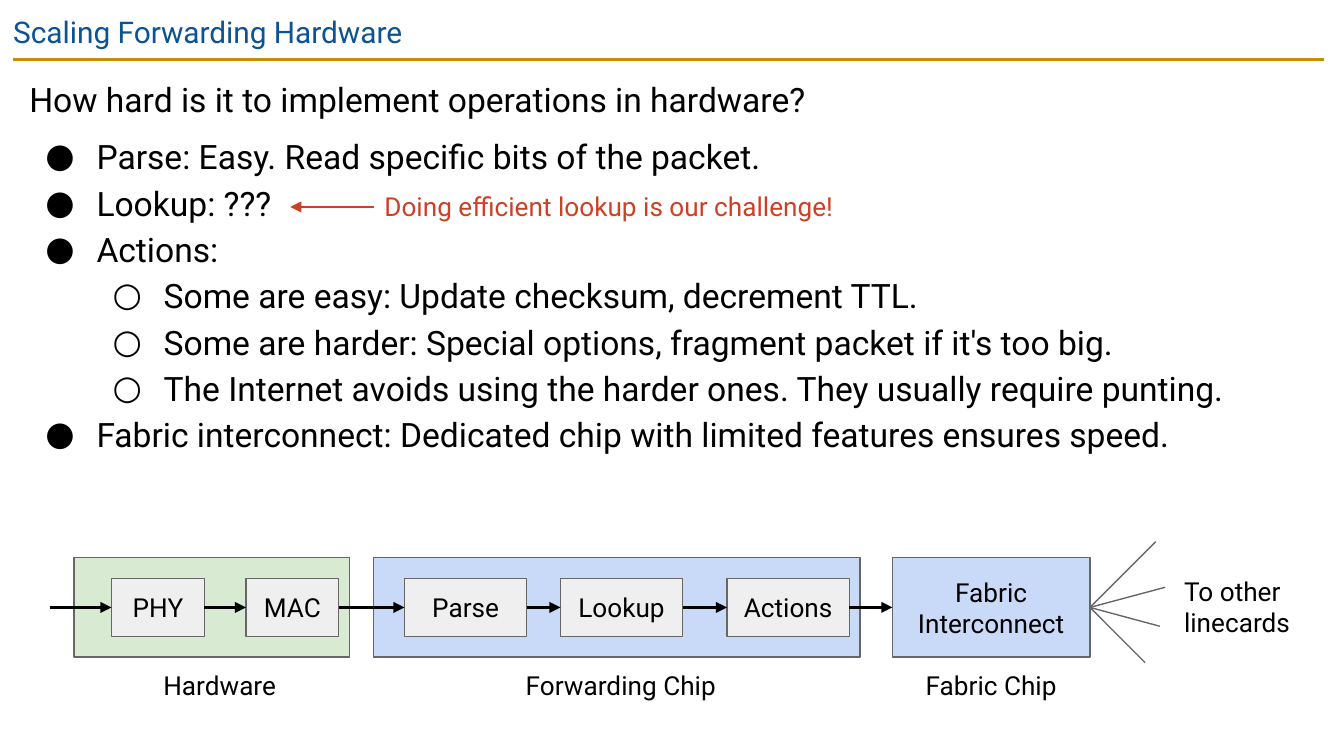
import pptx
import pptx.util
import pptx.dml.color
import pptx.enum.shapes
import pptx.enum.text
import pptx.oxml.ns

Inches, Pt = pptx.util.Inches, pptx.util.Pt
ALIGN = pptx.enum.text.PP_ALIGN
ANCHOR = pptx.enum.text.MSO_ANCHOR

COLORS = {
    "title": "0B5394", "rule": "BF9000", "text": "000000", "note": "CC4125",
    "outline": "666666", "green": "D9EAD3", "blue": "C9DAF8", "grey": "EFEFEF",
}
FONT = "Roboto"
BULLETS = ["●", "○"]
POINTS = [
    (0, "Parse: Easy. Read specific bits of the packet."),
    (0, "Lookup: ???"),
    (0, "Actions:"),
    (1, "Some are easy: Update checksum, decrement TTL."),
    (1, "Some are harder: Special options, fragment packet if it's too big."),
    (1, "The Internet avoids using the harder ones. They usually require punting."),
    (0, "Fabric interconnect: Dedicated chip with limited features ensures speed."),
]


def rgb(name):
    return pptx.dml.color.RGBColor.from_string(COLORS[name])


def add_xml(parent, tag, **attrs):
    el = parent.makeelement(pptx.oxml.ns.qn(tag), attrs)
    parent.append(el)
    return el


def style_runs(p, size, color):
    for r in p.runs:
        r.font.name = FONT
        r.font.size = Pt(size)
        r.font.color.rgb = rgb(color)


def set_frame(tf, text, size, color="text", inset=0.1, align=ALIGN.LEFT):
    tf.word_wrap = True
    tf.margin_left = tf.margin_right = tf.margin_top = tf.margin_bottom = Inches(inset)
    tf.text = text
    p = tf.paragraphs[0]
    p.alignment = align
    style_runs(p, size, color)


def add_text(s, x, y, w, h, text, size=14, **options):
    sp = s.shapes.add_textbox(Inches(x), Inches(y), Inches(w), Inches(h))
    set_frame(sp.text_frame, text, size, **options)
    return sp.text_frame


def add_box(s, x, y, w, h, fill, text=None):
    sp = s.shapes.add_shape(pptx.enum.shapes.MSO_SHAPE.RECTANGLE,
                            Inches(x), Inches(y), Inches(w), Inches(h))
    sp.shadow.inherit = False
    sp.fill.solid()
    sp.fill.fore_color.rgb = rgb(fill)
    sp.line.color.rgb = rgb("outline")
    sp.line.width = Pt(0.75)
    if text:
        set_frame(sp.text_frame, text, 14, align=ALIGN.CENTER)
        sp.text_frame.vertical_anchor = ANCHOR.MIDDLE
    return sp


def add_line(s, x1, y1, x2, y2, color, width=1.5, arrow=False):
    line = s.shapes.add_connector(pptx.enum.shapes.MSO_CONNECTOR.STRAIGHT,
                                  Inches(x1), Inches(y1), Inches(x2), Inches(y2))
    line.line.color.rgb = rgb(color)
    line.line.width = Pt(width)
    if arrow:
        add_xml(line.line._get_or_add_ln(), "a:tailEnd", type="triangle")
    add_xml(line._element.spPr, "a:effectLst")
    return line


def add_header(s, x, y, w, h):
    add_line(s, x + 0.1, y + h, x + w - 0.15, y + h, "rule")
    add_text(s, x, y, w, h, "Scaling Forwarding Hardware", 16, color="title")


def add_body(s, x, y, w, h):
    tf = add_text(s, x, y, w, h, "How hard is it to implement operations in hardware?", 18)
    tf.paragraphs[0].line_spacing = 1.15
    for i, (level, text) in enumerate(POINTS):
        p = tf.add_paragraph()
        p.text = text
        p.level = level
        pPr = p._p.get_or_add_pPr()
        pPr.set("marL", str(Inches(0.5 * (level + 1))))
        pPr.set("indent", str(Inches(-0.38)))
        add_xml(add_xml(pPr, "a:buClr"), "a:srgbClr", val=COLORS["text"])
        add_xml(pPr, "a:buFont", typeface=FONT)
        add_xml(pPr, "a:buChar", char=BULLETS[level])
        p.line_spacing = 1.15
        p.space_before = Pt(0 if i else 6)
        style_runs(p, 18, "text")

    # Remark pointing at the lookup line
    add_line(s, x + 2.66, y + 1.1, x + 2.04, y + 1.1, "note", arrow=True)
    add_text(s, x + 2.74, y + 0.98, 3.38, 0.24,
             "Doing efficient lookup is our challenge!", color="note", inset=0)


def add_chip(s, x, y, w, h, fill, label, label_w, label_dx=0, stages=(), stage_w=0, text=None):
    """Draw a chip with its label; return the boxes that packets pass through."""
    chip = add_box(s, x, y, w, h, fill, text)
    add_text(s, x + w / 2 + label_dx - label_w / 2, y + h + 0.09, label_w, 0.24,
             label, inset=0, align=ALIGN.CENTER)
    stage_h = 0.43
    boxes = [add_box(s, x + dx, y + (h - stage_h) / 2, stage_w, stage_h, "grey", name)
             for name, dx in stages]
    return boxes or [chip]


def add_pipeline(s, x, y, h):
    mid = y + h / 2
    boxes = add_chip(s, x + 0.18, y, 2.05, h, "green", "Hardware", 0.91, 0.06,
                     [("PHY", 0.28), ("MAC", 1.28)], 0.69)
    boxes += add_chip(s, x + 2.41, y, 3.62, h, "blue", "Forwarding Chip", 1.47, 0.03,
                      [("Parse", 0.23), ("Lookup", 1.39), ("Actions", 2.63)], 0.91)
    boxes += add_chip(s, x + 6.27, y, 1.47, h, "blue", "Fabric Chip", 1.15,
                      text="Fabric Interconnect")
    fabric = boxes[-1]

    # Links fanning out to the other linecards
    fan_x = x + 7.74
    for dx, dy in [(0.49, -0.49), (0.56, -0.15), (0.52, 0.14), (0.41, 0.41)]:
        link = add_line(s, fan_x, mid, fan_x + dx, mid + dy, "outline", 0.75)
        link.begin_connect(fabric, 3)
    add_text(s, x + 8.44, y + 0.13, 0.82, 0.47, "To other linecards", inset=0)

    # Packet path: one arrow into each stage
    for before, after in zip([None] + boxes, boxes):
        arrow = add_line(s, x, mid, x + 0.46, mid, "text", arrow=True)
        if before is not None:
            arrow.begin_connect(before, 3)
        arrow.end_connect(after, 1)


def main():
    prs = pptx.Presentation()
    # Widescreen, 16:9
    prs.slide_width = Inches(10)
    prs.slide_height = prs.slide_width * 9 // 16
    s = prs.slides.add_slide(prs.slide_layouts[6])
    add_header(s, 0, 0, 10, 0.44)
    add_body(s, 0.12, 0.44, 9.74, 3.24)
    add_pipeline(s, 0.37, 4.15, 0.74)
    prs.save("out.pptx")


if __name__ == "__main__":
    main()
